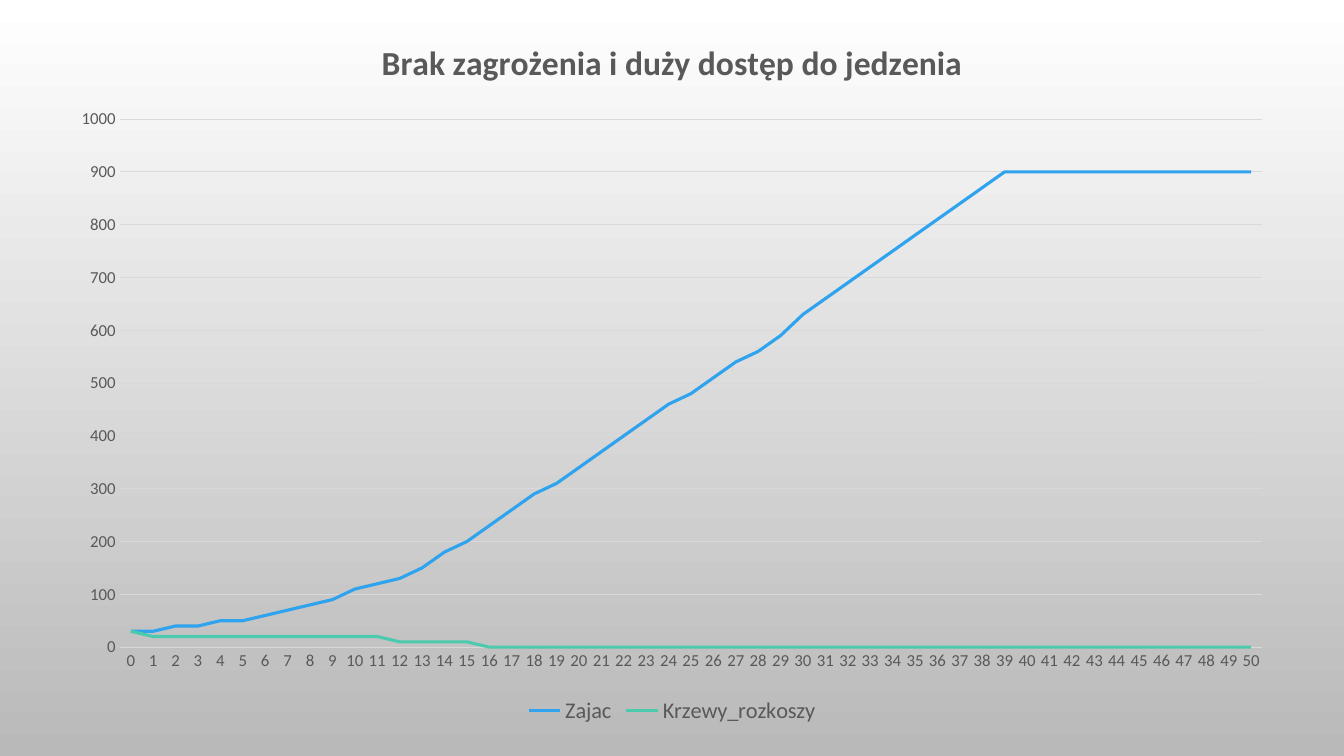
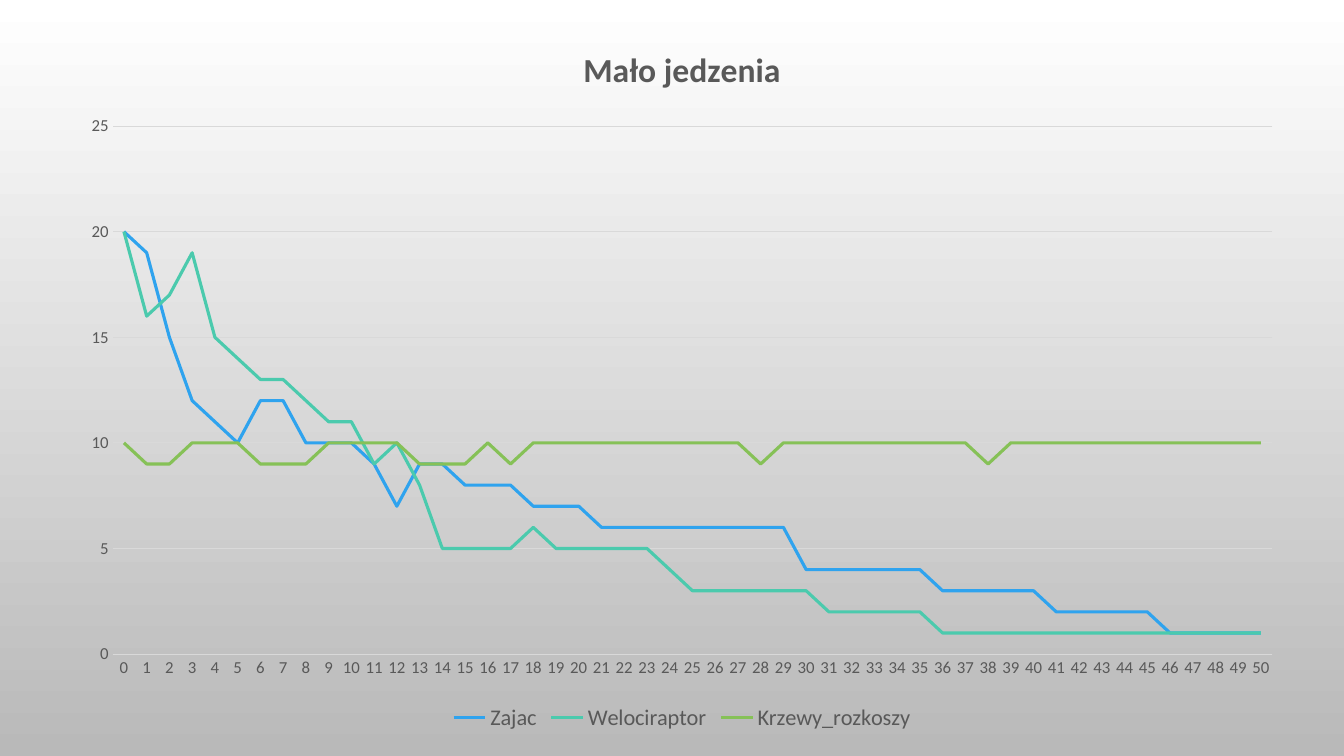
import pptx
import pptx.chart.data
import pptx.dml.color
import pptx.enum.chart
import pptx.util

EMU_PER_PX = 914400 / 100.8
FONT = "Calibri"
GREY = "595959"
GRID = "D9D9D9"
BLUE, TEAL, GREEN = "2FA3EE", "4BCAAD", "86C157"
BACKGROUND = ("FFFFFF", "B9B9B9")
STEPS = [str(step) for step in range(51)]

HARE_GROWTH = [
    30, 30, 40, 40, 50, 50, 60, 70, 80, 90, 110, 120, 130, 150, 180, 200, 230, 260, 290, 310,
    340, 370, 400, 430, 460, 480, 510, 540, 560, 590, 630, 660, 690, 720, 750, 780, 810, 840, 870,
] + [900] * 12
BUSH_DECLINE = [30] + [20] * 11 + [10] * 4 + [0] * 35
HARE_DECLINE = (
    [20, 19, 15, 12, 11, 10, 12, 12, 10, 10, 10, 9, 7, 9, 9]
    + [8] * 3 + [7] * 3 + [6] * 9 + [4] * 6 + [3] * 5 + [2] * 5 + [1] * 5
)
RAPTOR_DECLINE = (
    [20, 16, 17, 19, 15, 14, 13, 13, 12, 11, 11, 9, 10, 8, 5, 5, 5, 5, 6]
    + [5] * 5 + [4] + [3] * 6 + [2] * 5 + [1] * 15
)
BUSH_STEADY = (
    [10, 9, 9, 10, 10, 10, 9, 9, 9, 10, 10, 10, 10, 9, 9, 9, 10, 9]
    + [10] * 10 + [9] + [10] * 9 + [9] + [10] * 12
)


def px(length):
    return pptx.util.Emu(round(length * EMU_PER_PX))


def color(value):
    return pptx.dml.color.RGBColor.from_string(value)


class ChartDeck:
    def __init__(self):
        self.deck = pptx.Presentation()
        self.deck.slide_width = px(1344)
        self.deck.slide_height = px(756)
        self.page = None

    def add_page(self):
        self.page = self.deck.slides.add_slide(self.deck.slide_layouts[6])
        fill = self.page.background.fill
        fill.gradient()
        fill.gradient_angle = 270
        for stop, value in zip(fill.gradient_stops, BACKGROUND):
            stop.color.rgb = color(value)

    def style_font(self, font, size, bold=False):
        font.name = FONT
        font.size = pptx.util.Pt(size)
        font.bold = bold
        font.color.rgb = color(GREY)

    def style_line(self, line, value, width):
        line.color.rgb = color(value)
        line.width = pptx.util.Pt(width)

    def style_axis(self, axis):
        axis.major_tick_mark = pptx.enum.chart.XL_TICK_MARK.NONE
        axis.minor_tick_mark = pptx.enum.chart.XL_TICK_MARK.NONE
        self.style_font(axis.tick_labels.font, 12)

    def add_line_chart(self, left, top, title, series):
        data = pptx.chart.data.CategoryChartData()
        data.categories = STEPS
        for name, values, _ in series:
            data.add_series(name, values)
        chart = self.page.shapes.add_chart(
            pptx.enum.chart.XL_CHART_TYPE.LINE, px(left), px(top), px(1230), px(715), data
        ).chart
        self.style_font(chart.font, 10)

        chart.has_title = True
        heading = chart.chart_title.text_frame
        heading.text = title
        self.style_font(heading.paragraphs[0].font, 24, bold=True)

        chart.has_legend = True
        chart.legend.position = pptx.enum.chart.XL_LEGEND_POSITION.BOTTOM
        chart.legend.include_in_layout = False
        self.style_font(chart.legend.font, 16)

        self.style_axis(chart.category_axis)
        self.style_line(chart.category_axis.format.line, GRID, 0.75)
        self.style_axis(chart.value_axis)
        chart.value_axis.format.line.fill.background()
        self.style_line(chart.value_axis.major_gridlines.format.line, GRID, 0.75)

        plot = chart.plots[0]
        plot.vary_by_categories = False
        for line, (_, _, value) in zip(plot.series, series):
            line.smooth = False
            self.style_line(line.format.line, value, 2.25)


def main():
    charts = ChartDeck()
    charts.add_page()
    charts.add_line_chart(57, 14, "Brak zagrożenia i duży dostęp do jedzenia", [
        ("Zajac", HARE_GROWTH, BLUE),
        ("Krzewy_rozkoszy", BUSH_DECLINE, TEAL),
    ])
    charts.add_page()
    charts.add_line_chart(67, 21, "Mało jedzenia", [
        ("Zajac", HARE_DECLINE, BLUE),
        ("Welociraptor", RAPTOR_DECLINE, TEAL),
        ("Krzewy_rozkoszy", BUSH_STEADY, GREEN),
    ])
    charts.deck.save("out.pptx")


if __name__ == "__main__":
    main()
